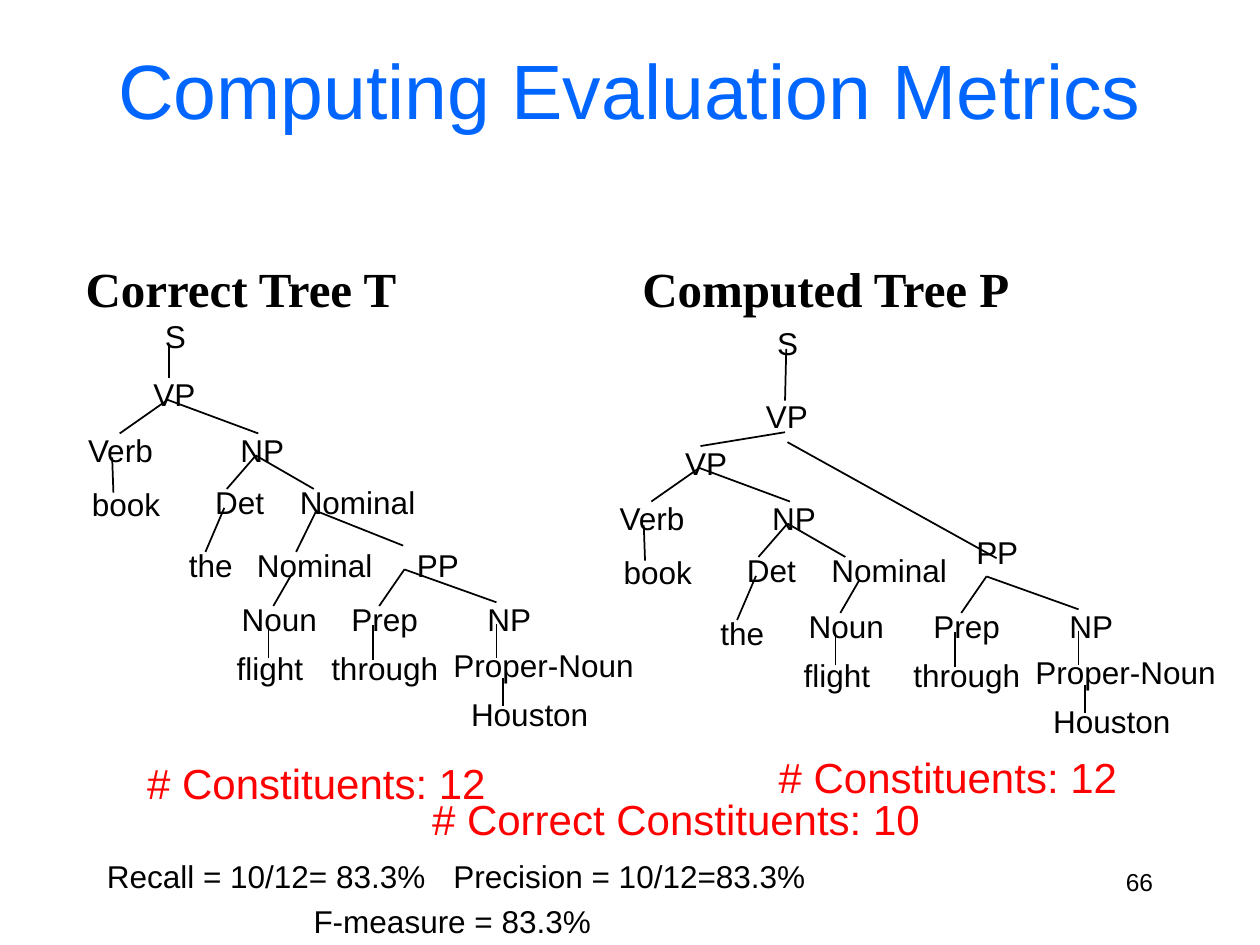
"""Build the slide comparing a correct and a computed parse tree."""
from dataclasses import dataclass

from pptx import Presentation
from pptx.dml.color import RGBColor
from pptx.enum.shapes import MSO_CONNECTOR as Connector
from pptx.enum.text import MSO_ANCHOR as Anchor, MSO_AUTO_SIZE as AutoSize, PP_ALIGN as Align
from pptx.oxml.ns import qn
from pptx.slide import Slide
from pptx.text.text import TextFrame
from pptx.util import Pt


@dataclass(frozen=True)
class Style:
    size: float
    color: str
    font: str = "Arial"
    bold: bool = False


@dataclass(frozen=True)
class Theme:
    title: Style = Style(44, "0066FF")
    heading: Style = Style(28, "000000", "Times New Roman", True)
    node: Style = Style(18, "000000")
    count: Style = Style(24, "FF0000")
    number: Style = Style(14, "000000")
    edge_color: str = "000000"
    edge_width: float = 1


@dataclass(frozen=True)
class Label:
    text: str
    left: float
    top: float
    width: float
    height: float
    style: Style
    align: Align = Align.LEFT


@dataclass(frozen=True)
class Node:
    text: str
    left: float
    top: float


@dataclass(frozen=True)
class Edge:
    x1: float
    y1: float
    x2: float
    y2: float


@dataclass(frozen=True)
class Subtree:
    nodes: tuple[Node, ...]
    edges: tuple[Edge, ...]


THEME = Theme()
NODE_HEIGHT = 29.5
NODE_WIDTHS = {
    "S": 26.6, "VP": 38.9, "NP": 39.6, "PP": 38.9, "Verb": 51.8, "Det": 42.5,
    "Nominal": 80.6, "Noun": 57.6, "Prep": 52.6, "Proper-Noun": 118.1,
    "book": 54, "the": 39.6, "flight": 52.6, "through": 75.6, "Houston": 82.1,
}

VERB_PHRASE = Subtree(
    (Node("VP", 80.6, 211), Node("Verb", 43.2, 242.6), Node("NP", 130.3, 242.6),
     Node("Det", 115.9, 272.2), Node("Nominal", 164.2, 272.2),
     Node("book", 45.4, 273.6), Node("the", 100.8, 308.2)),
    (Edge(95.8, 228.5, 68.4, 247.7), Edge(95.8, 228.5, 147.6, 247.7),
     Edge(64.1, 261.4, 64.8, 281.5), Edge(146.2, 260.3, 129.6, 279.4),
     Edge(146.2, 260.3, 179.3, 279.4), Edge(128.2, 290.2, 117.4, 315.4)),
)
NOUN = Subtree(
    (Node("Noun", 131, 339.1), Node("flight", 128.2, 367.2)),
    (Edge(167, 327.6, 156.2, 346.3), Edge(153.4, 357.8, 153.4, 375.8)),
)
PREPOSITION = Subtree(
    (Node("Prep", 193.7, 339.1), Node("NP", 271.4, 339.1),
     Node("through", 182.2, 367.2), Node("Proper-Noun", 252, 365.8),
     Node("Houston", 262.1, 393.8)),
    (Edge(231.1, 325.4, 216.7, 346.3), Edge(231.1, 325.4, 283.7, 344.2),
     Edge(213.1, 357.1, 213.1, 377.3), Edge(283.7, 356.4, 283.7, 375.8),
     Edge(287.3, 387.4, 287.3, 403.2)),
)
CORRECT_TOP = Subtree(
    (Node("S", 87.1, 177.8), Node("Nominal", 139.7, 308.2), Node("PP", 231.1, 308.2)),
    (Edge(96.5, 197.3, 96.5, 216), Edge(180.7, 292, 169.2, 315.4),
     Edge(180.7, 292, 230.4, 311.8)),
)
COMPUTED_TOP = Subtree(
    (Node("S", 437, 181.4), Node("VP", 430.6, 223.2), Node("PP", 550.8, 301)),
    (Edge(449.3, 199.4, 448.6, 229), Edge(448.6, 247, 400.3, 254.9),
     Edge(450, 252.7, 569.5, 319)),
)
PLACEMENTS = (
    (CORRECT_TOP, 0, 0), (VERB_PHRASE, 0, 0), (NOUN, 0, 0), (PREPOSITION, 0, 0),
    (COMPUTED_TOP, 0, 0), (VERB_PHRASE, 303.8, 38.9), (NOUN, 324, 4),
    (PREPOSITION, 332.6, 4),
)
LABELS = (
    Label("Correct Tree T", 41.8, 144, 195.8, 41, THEME.heading),
    Label("Computed Tree P", 360, 144, 227.5, 41, THEME.heading),
    Label("# Constituents: 12", 77, 429.1, 208.1, 36, THEME.count),
    Label("# Constituents: 12", 437.8, 426.2, 208.1, 36, THEME.count),
    Label("# Correct Constituents: 10", 239.8, 450, 293, 36, THEME.count),
    Label("Recall = 10/12= 83.3%", 54, 486, 198.7, 28.8, THEME.node),
    Label("Precision = 10/12=83.3%", 252, 486, 217.4, 28.8, THEME.node),
    Label("F-measure = 83.3%", 172.1, 511.9, 174.2, 28.8, THEME.node),
    Label("66", 516.2, 491.8, 149.8, 36, THEME.number, Align.RIGHT),
)


def write_text(frame: TextFrame, text: str, style: Style, align: Align) -> None:
    """Fill a text frame with one formatted paragraph."""
    paragraph = frame.paragraphs[0]
    paragraph.text = text
    paragraph.alignment = align
    font = paragraph.runs[0].font
    formats = {"name": style.font, "size": Pt(style.size), "bold": style.bold}
    for name, value in formats.items():
        setattr(font, name, value)
    font.color.rgb = RGBColor.from_string(style.color)


def draw_title(slide: Slide, text: str) -> None:
    """Place and fill the title placeholder."""
    title = slide.shapes.title
    bounds = {"left": Pt(54), "top": Pt(5.8), "width": Pt(612), "height": Pt(90)}
    for name, value in bounds.items():
        setattr(title, name, value)
    title.text_frame.vertical_anchor = Anchor.MIDDLE
    write_text(title.text_frame, text, THEME.title, Align.CENTER)


def draw_label(slide: Slide, label: Label) -> None:
    """Draw one unwrapped text box."""
    bounds = (label.left, label.top, label.width, label.height)
    frame = slide.shapes.add_textbox(*map(Pt, bounds)).text_frame
    wraps = label.align == Align.RIGHT
    frame.word_wrap = wraps
    frame.auto_size = AutoSize.NONE if wraps else AutoSize.SHAPE_TO_FIT_TEXT
    write_text(frame, label.text, label.style, label.align)


def draw_edge(slide: Slide, edge: Edge, dx: float, dy: float) -> None:
    """Draw one shifted tree branch without a shadow."""
    ends = (edge.x1 + dx, edge.y1 + dy, edge.x2 + dx, edge.y2 + dy)
    connector = slide.shapes.add_connector(Connector.STRAIGHT, *map(Pt, ends))
    connector.line.width = Pt(THEME.edge_width)
    connector.line.color.rgb = RGBColor.from_string(THEME.edge_color)
    properties = connector._element.spPr
    properties.append(properties.makeelement(qn("a:effectLst"), {}))


def draw_subtree(slide: Slide, subtree: Subtree, dx: float, dy: float) -> None:
    """Draw the nodes and branches of a subtree at an offset."""
    for node in subtree.nodes:
        draw_label(slide, Label(node.text, node.left + dx, node.top + dy,
                                NODE_WIDTHS[node.text], NODE_HEIGHT, THEME.node))
    for edge in subtree.edges:
        draw_edge(slide, edge, dx, dy)


def main() -> None:
    """Assemble and save the presentation."""
    presentation = Presentation()
    presentation.slide_width, presentation.slide_height = Pt(720), Pt(540)
    slide = presentation.slides.add_slide(presentation.slide_layouts[5])
    draw_title(slide, "Computing Evaluation Metrics")
    for subtree, dx, dy in PLACEMENTS:
        draw_subtree(slide, subtree, dx, dy)
    for label in LABELS:
        draw_label(slide, label)
    presentation.save("out.pptx")


if __name__ == "__main__":
    main()
